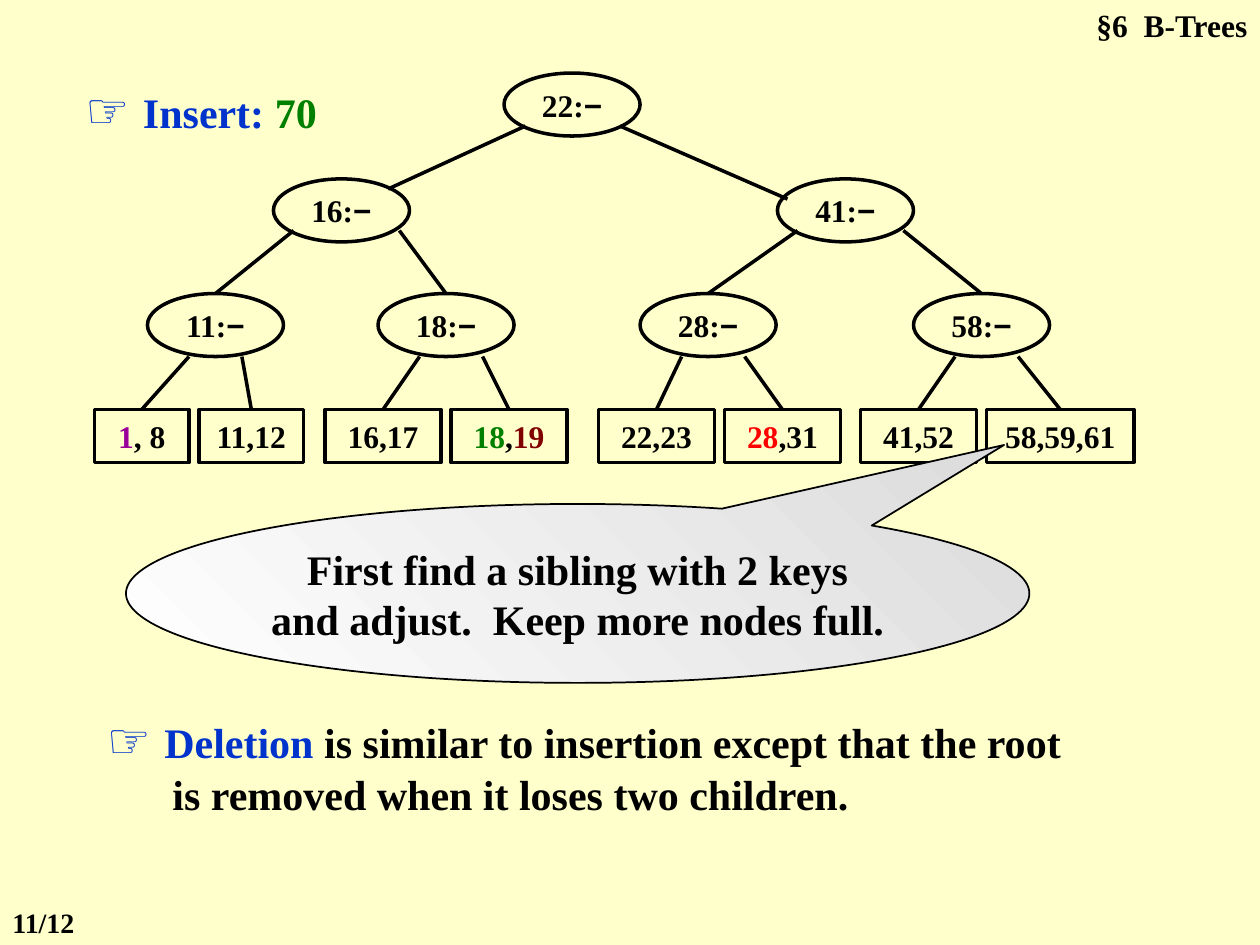
from pptx import Presentation
from pptx.dml.color import RGBColor
from pptx.enum.shapes import MSO_CONNECTOR, MSO_SHAPE
from pptx.enum.text import MSO_ANCHOR, MSO_AUTO_SIZE, PP_ALIGN
from pptx.oxml.ns import qn
from pptx.util import Inches, Pt
from lxml import etree

STRAIGHT = MSO_CONNECTOR.STRAIGHT
RECTANGLE = MSO_SHAPE.RECTANGLE
OVAL = MSO_SHAPE.OVAL
CALLOUT = MSO_SHAPE.OVAL_CALLOUT
LEFT, CENTER, RIGHT = PP_ALIGN.LEFT, PP_ALIGN.CENTER, PP_ALIGN.RIGHT
TOP, MIDDLE = MSO_ANCHOR.TOP, MSO_ANCHOR.MIDDLE
TOP_SITE = 0

SERIF, SANS = "Times New Roman", "Arial"
COLORS = {
    "background": "FFFFCC", "black": "000000", "blue": "0033CC",
    "green": "008000", "purple": "990099", "maroon": "800000",
    "red": "FF0000", "white": "FFFFFF", "gray": "DDDDDD",
}

NODE_WIDTH, NODE_HEIGHT = 1.08, 0.5
LEAF_TOP, LEAF_HEIGHT = 3.25, 0.42
ROOT = (4, 0.58, "22")
# left, key, end point of the edge from the root, start of that edge
BRANCHES = [
    (2.17, "16", (3.08, 1.5), (4.17, 1)),
    (6.17, "41", (6.25, 1.58), (4.92, 1)),
]
BRANCH_TOP, PARENT_TOP = 1.42, 2.33
# left, key, offsets of the two outgoing edges
PARENTS = [
    (1.17, "11", (0.33, 0.75)),
    (3, "18", (0.33, 0.83)),
    (5.08, "28", (0.33, 0.83)),
    (7.25, "58", (0.33, 0.83)),
]
# left, width, coloured parts of the text, filled
LEAVES = [
    (0.75, 0.75, [("1", "purple"), (", 8", "black")], False),
    (1.58, 0.83, [("11,12", "black")], False),
    (2.58, 0.92, [("16,17", "black")], True),
    (3.58, 0.92, [("18", "green"), (",", "black"), ("19", "maroon")], True),
    (4.75, 0.92, [("22,23", "black")], False),
    (5.75, 0.92, [("28", "red"), (",31", "black")], False),
    (6.83, 0.92, [("41,52", "black")], False),
    (7.83, 1.17, [("58,59,61", "black")], False),
]


def rgb(name):
    return RGBColor.from_string(COLORS[name])


def set_font(font, color="black", size=18, name=SERIF):
    font.name, font.size, font.bold = name, Pt(size), True
    font.color.rgb = rgb(color)


def write(shape, runs, align=LEFT, anchor=TOP, wrap=True):
    """Fill a shape with one paragraph of (text, color, size, font) runs."""
    frame = shape.text_frame
    frame.word_wrap, frame.vertical_anchor = wrap, anchor
    paragraph = frame.paragraphs[0]
    paragraph.alignment = align
    for text, *style in runs:
        run = paragraph.add_run()
        run.text = text
        set_font(paragraph.font if len(runs) == 1 else run.font, *style)
    return paragraph


def add_text(slide, left, top, width, height, runs):
    box = slide.shapes.add_textbox(Inches(left), Inches(top), Inches(width), Inches(height))
    paragraph = write(box, runs)
    box.text_frame.auto_size = MSO_AUTO_SIZE.SHAPE_TO_FIT_TEXT
    return paragraph


def add_outlined(slide, kind, left, top, width, height, line_width=2):
    shape = slide.shapes.add_shape(kind, Inches(left), Inches(top), Inches(width), Inches(height))
    shape.shadow.inherit = False
    shape.fill.background()
    shape.line.color.rgb = rgb("black")
    shape.line.width = Pt(line_width)
    return shape


def add_node(slide, left, top, key):
    node = add_outlined(slide, OVAL, left, top, NODE_WIDTH, NODE_HEIGHT)
    write(node, [(key + ":",), ("−", "black", 18, SANS)], CENTER, MIDDLE, wrap=False)
    return node


def add_leaf(slide, left, width, runs, filled):
    leaf = add_outlined(slide, RECTANGLE, left, LEAF_TOP, width, LEAF_HEIGHT)
    if filled:
        leaf.fill.solid()
        leaf.fill.fore_color.rgb = rgb("background")
    write(leaf, runs, CENTER, MIDDLE, wrap=False)
    return leaf


def add_edge(slide, start, end=(0, 0), child=None):
    """Draw a line to a point, or to the top middle of a child."""
    edge = slide.shapes.add_connector(STRAIGHT, *map(Inches, (*start, *end)))
    if child is not None:
        edge.end_connect(child, TOP_SITE)
    edge.line.color.rgb = rgb("black")
    edge.line.width = Pt(2)
    etree.SubElement(edge.element.spPr, qn("a:effectLst"))


def add_tree(slide):
    add_node(slide, *ROOT)
    parents = [add_node(slide, left, PARENT_TOP, key) for left, key, _ in PARENTS]
    leaves = [add_leaf(slide, *leaf) for leaf in LEAVES]
    for index, (left, key, end, start) in enumerate(BRANCHES):
        add_node(slide, left, BRANCH_TOP, key)
        add_edge(slide, start, end)
        for side, offset in enumerate((0.16, 1)):
            add_edge(slide, (left + offset, 1.83), child=parents[2 * index + side])
    for index, (left, _, offsets) in enumerate(PARENTS):
        for side, offset in enumerate(offsets):
            start = (left + offset, PARENT_TOP + NODE_HEIGHT)
            add_edge(slide, start, child=leaves[2 * index + side])


def add_callout(slide, text):
    callout = add_outlined(slide, CALLOUT, 1, 4, 7.17, 1.42, line_width=1)
    callout.adjustments[0], callout.adjustments[1] = 0.472, -0.83
    callout.fill.gradient()
    callout.fill.gradient_angle = 45
    for stop, color in zip(callout.fill.gradient_stops, ("white", "gray")):
        stop.color.rgb = rgb(color)
    write(callout, [(text, "black", 24)], CENTER, MIDDLE)


def set_title(slide, text):
    title = slide.shapes.title
    title.left, title.top = Inches(8.17), Inches(0)
    title.width, title.height = Inches(1.83), Inches(0.4)
    write(title, [(text,)], RIGHT)
    title.text_frame.auto_size = MSO_AUTO_SIZE.NONE


def main():
    presentation = Presentation()
    presentation.slide_width, presentation.slide_height = Inches(10), Inches(7.5)
    slide = presentation.slides.add_slide(presentation.slide_layouts[5])
    slide.background.fill.solid()
    slide.background.fill.fore_color.rgb = rgb("background")

    set_title(slide, "§6  B-Trees")
    add_tree(slide)
    hand = ("☞ ", "blue", 28, SANS)
    add_text(slide, 0.58, 0.58, 2.42, 0.57,
             [hand, ("Insert: ", "blue", 24), ("70", "green", 24)])
    add_callout(slide, "First find a sibling with 2 keys and adjust.  Keep more nodes full.")
    deletion = add_text(slide, 0.75, 5.58, 7.92, 0.97, [
        hand, ("Deletion ", "blue", 24),
        ("is similar to insertion except that the root is removed when it loses two children.",
         "black", 24)])
    properties = deletion._p.get_or_add_pPr()
    properties.set("marL", str(Inches(0.52)))
    properties.set("indent", str(Inches(-0.52)))
    add_text(slide, 0, 7.14, 0.92, 0.37, [("11/12", "black", 16)])
    presentation.save("out.pptx")


if __name__ == "__main__":
    main()
